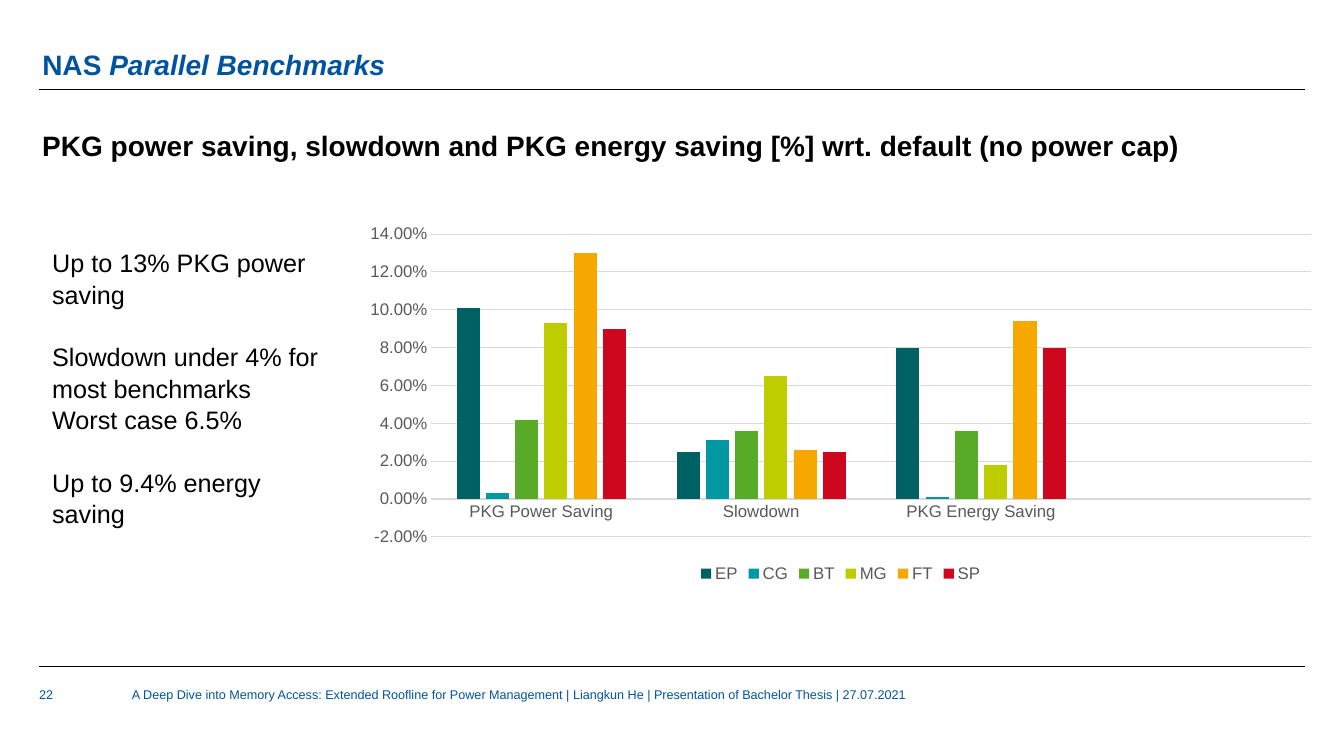
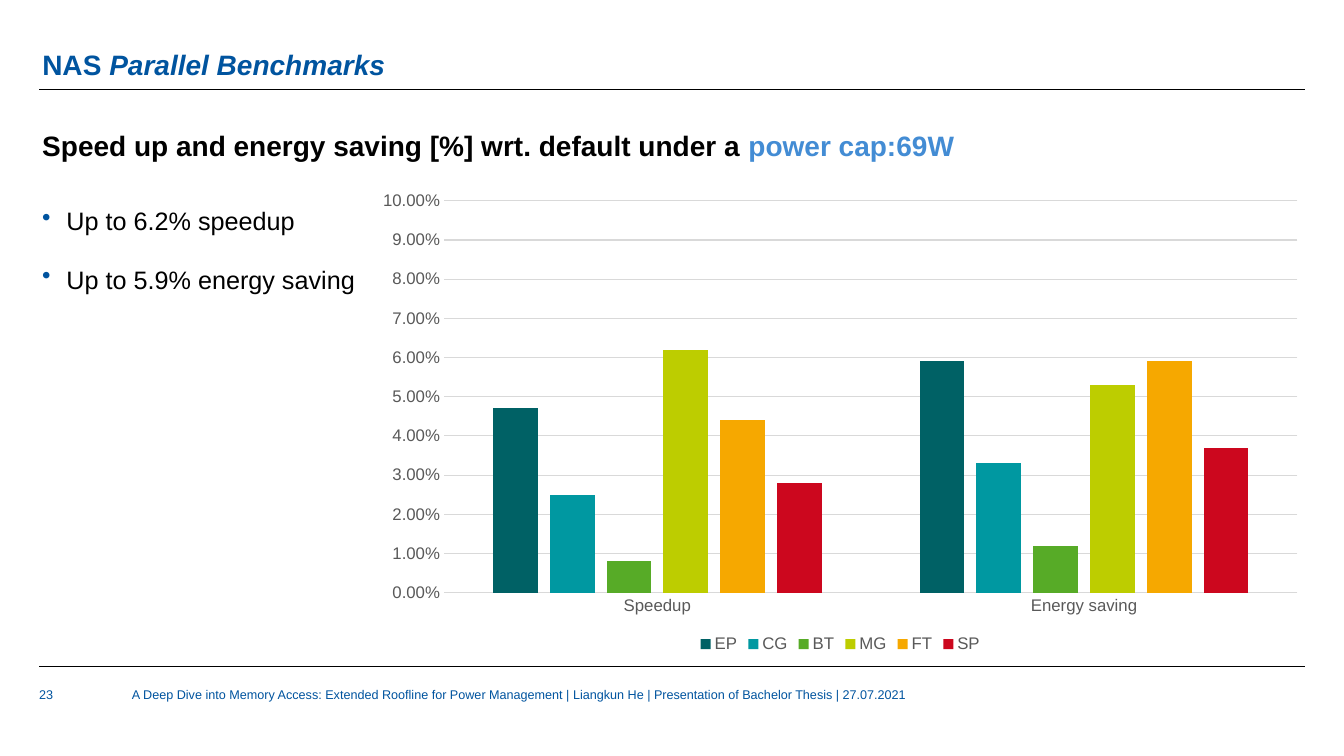
from dataclasses import dataclass
from pptx import Presentation
from pptx.chart.data import CategoryChartData as Data
from pptx.dml.color import RGBColor as Color
from pptx.enum.chart import XL_CHART_TYPE as Kind, XL_LEGEND_POSITION as Place, XL_TICK_MARK as Tick
from pptx.enum.text import MSO_ANCHOR as Anchor
from pptx.oxml.ns import qn
from pptx.util import Pt
from lxml.etree import SubElement as Sub


@dataclass(frozen=True)
class Theme:
    font: str = "Arial"
    blue: str = "00549F"
    sky: str = "438CD4"
    black: str = "000000"
    gray: str = "595959"
    grid: str = "D9D9D9"
    head: int = 20
    body: int = 18
    label: int = 12
    small: int = 9
    tight: float = 0.9
    loose: float = 1.05
    bars: tuple = (("EP", "006165"), ("CG", "0098A1"), ("BT", "57AB27"),
                   ("MG", "BDCD00"), ("FT", "F6A800"), ("SP", "CC071E"))


THEME = Theme()
LEFT, RIGHT = 28, 932.4
TITLE = (30.2, 15.8, 899.3, 42.5)
HEAD = (30.2, 90.7, 900, 20.2)
FOOT = (LEFT, 490.3, 904, 31)
NOTE = ("A Deep Dive into Memory Access: Extended Roofline for Power Management"
        " | Liangkun He | Presentation of Bachelor Thesis | 27.07.2021")


def style(font, size, color, bold=None):
    font.name, font.size, font.bold = THEME.font, Pt(size), bold
    font.color.rgb = Color.from_string(color)


def add_text(slide, box, size, color, lines, bold=None, space=1.0, pad=(0, 0), anchor=Anchor.TOP):
    frame = slide.shapes.add_textbox(*map(Pt, box)).text_frame
    frame.word_wrap = True
    frame.vertical_anchor = anchor
    frame.margin_left = frame.margin_right = Pt(pad[0])
    frame.margin_top = frame.margin_bottom = Pt(pad[1])
    for i, (text, gap) in enumerate(lines):
        par = frame.add_paragraph() if i else frame.paragraphs[0]
        par.add_run().text = text
        par.line_spacing = space
        par.space_before = Pt(gap)
        style(par.font, size, color, bold)
    return frame.paragraphs


def add_rule(slide, y):
    rule = slide.shapes.add_connector(1, Pt(LEFT), Pt(y), Pt(RIGHT), Pt(y))
    rule.line.color.rgb = Color.from_string(THEME.black)
    rule.line.width = Pt(0.5)
    Sub(rule._element.spPr, qn("a:effectLst"))


def add_title(slide, box):
    par, = add_text(slide, box, THEME.head, THEME.blue, [("NAS ", 0)], True, THEME.tight,
                    anchor=Anchor.BOTTOM)
    run = par.add_run()
    run.text = "Parallel Benchmarks"
    run.font.italic = True


def add_head(slide, box, text, accent):
    par, = add_text(slide, box, THEME.head, THEME.black, [(text, 0)], True, THEME.loose)
    if accent:
        run = par.add_run()
        run.text = accent
        run.font.color.rgb = Color.from_string(THEME.sky)


def add_foot(slide, box, page):
    x, y, w, h = box
    shift = 66.3
    add_text(slide, (x, y, 57.6, h), THEME.small, THEME.blue, [(str(page), 0)])
    add_text(slide, (x + shift, y, w - shift, h), THEME.small, THEME.blue, [(NOTE, 0)])


def add_base(deck, page, text, accent=""):
    slide = deck.slides.add_slide(deck.slide_layouts[6])
    add_title(slide, TITLE)
    for y in (64, 476):
        add_rule(slide, y)
    add_head(slide, HEAD, text, accent)
    add_foot(slide, FOOT, page)
    return slide


def add_list(slide, box, lines):
    for par in add_text(slide, box, THEME.body, THEME.black, lines, space=THEME.loose):
        props = par._p.get_or_add_pPr()
        props.set("marL", str(Pt(17.3)))
        props.set("indent", str(-Pt(17.3)))
        Sub(Sub(props, qn("a:buClr")), qn("a:srgbClr")).set("val", THEME.blue)
        Sub(props, qn("a:buChar")).set("char", "•")


def add_bars(slide, box, names, rows, low, high, step):
    data = Data(number_format="0.00%")
    data.categories = names
    for (name, _), row in zip(THEME.bars, rows):
        data.add_series(name, row)
    chart = slide.shapes.add_chart(Kind.COLUMN_CLUSTERED, *map(Pt, box), data).chart
    style(chart.font, THEME.label, THEME.gray)
    chart.has_title = False
    chart.has_legend = True
    chart.legend.position = Place.BOTTOM
    chart.legend.include_in_layout = False
    plot = chart.plots[0]
    plot.gap_width, plot.overlap, plot.vary_by_categories = 219, -27, False
    for bar, (_, color) in zip(plot.series, THEME.bars):
        bar.format.fill.solid()
        bar.format.fill.fore_color.rgb = Color.from_string(color)
        bar.invert_if_negative = False
    base, scale = chart.category_axis, chart.value_axis
    for axis in (base, scale):
        axis.major_tick_mark = axis.minor_tick_mark = Tick.NONE
        style(axis.tick_labels.font, THEME.label, THEME.gray)
    scale.minimum_scale, scale.maximum_scale, scale.major_unit = low, high, step
    scale.tick_labels.number_format = "0.00%"
    scale.tick_labels.number_format_is_linked = False
    scale.format.line.fill.background()
    for line in (base.format.line, scale.major_gridlines.format.line):
        line.color.rgb = Color.from_string(THEME.grid)
        line.width = Pt(0.75)


def add_saving(deck, page):
    slide = add_base(deck, page, "PKG power saving, slowdown and PKG energy saving [%]"
                                 " wrt. default (no power cap)")
    gap = 21.7
    add_text(slide, (30.2, 172.1, 213.8, 247), THEME.body, THEME.black, [
        ("Up to 13% PKG power saving", 0),
        ("Slowdown under 4% for most benchmarks", gap),
        ("Worst case 6.5%", 0),
        ("Up to 9.4% energy saving", gap),
    ], space=THEME.loose, pad=(7.2, 3.6))
    add_bars(slide, (250.6, 148.3, 699.8, 270.7),
             ["PKG Power Saving", "Slowdown", "PKG Energy Saving", ""],
             [(0.101, 0.025, 0.08, None), (0.003, 0.031, 0.001, None),
              (0.042, 0.036, 0.036, None), (0.093, 0.065, 0.018, None),
              (0.13, 0.026, 0.094, None), (0.09, 0.025, 0.08, None)],
             -0.02, 0.15, 0.02)


def add_speed(deck, page):
    slide = add_base(deck, page, "Speed up and energy saving [%] wrt. default under a ",
                     "power cap:69W")
    add_bars(slide, (260, 130.3, 680.4, 339.1), ["Speedup", "Energy saving"],
             [(0.047, 0.059), (0.025, 0.033), (0.008, 0.012),
              (0.062, 0.053), (0.044, 0.059), (0.028, 0.037)],
             0, 0.1, 0.01)
    add_list(slide, (30.2, 145.4, 367.2, 251.3),
             [("Up to 6.2% speedup", 0), ("Up to 5.9% energy saving", 19.3)])


def main():
    deck = Presentation()
    deck.slide_width, deck.slide_height = Pt(960), Pt(540)
    for page, build in enumerate((add_saving, add_speed), 22):
        build(deck, page)
    deck.save("out.pptx")


if __name__ == "__main__":
    main()
